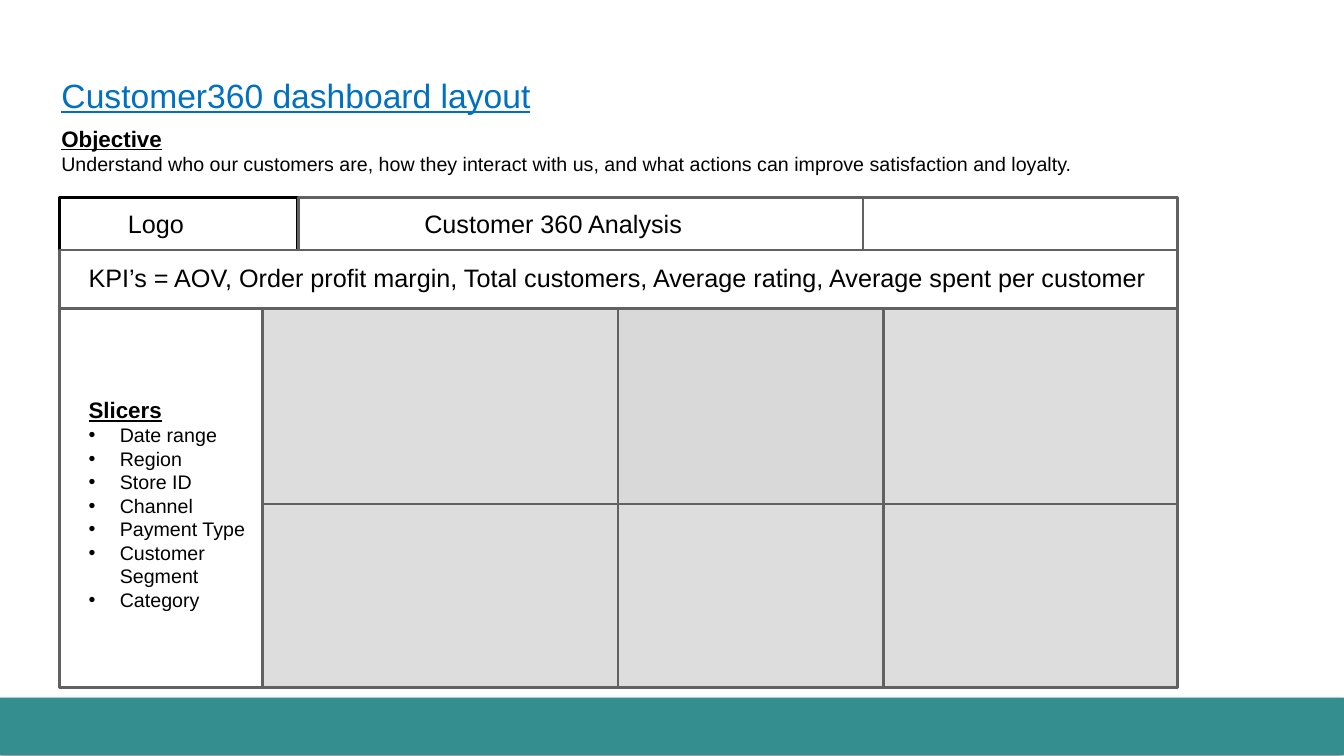
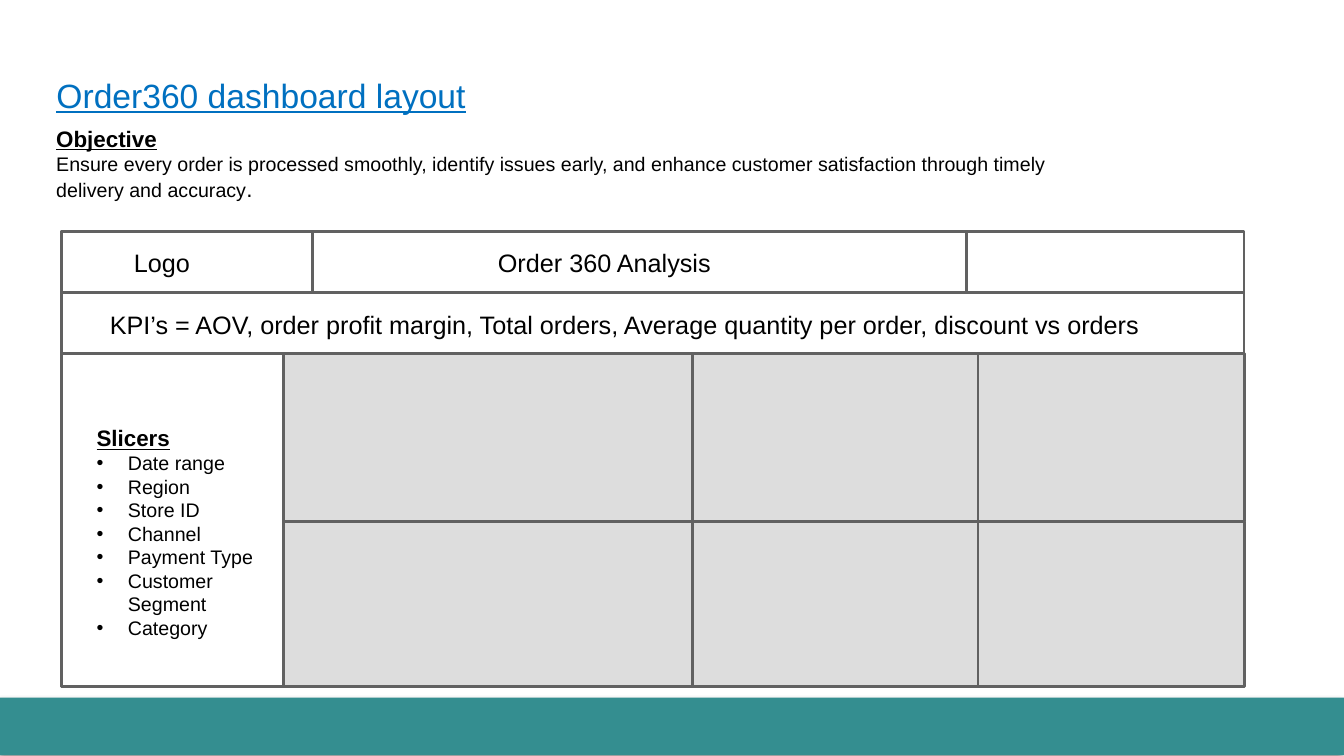
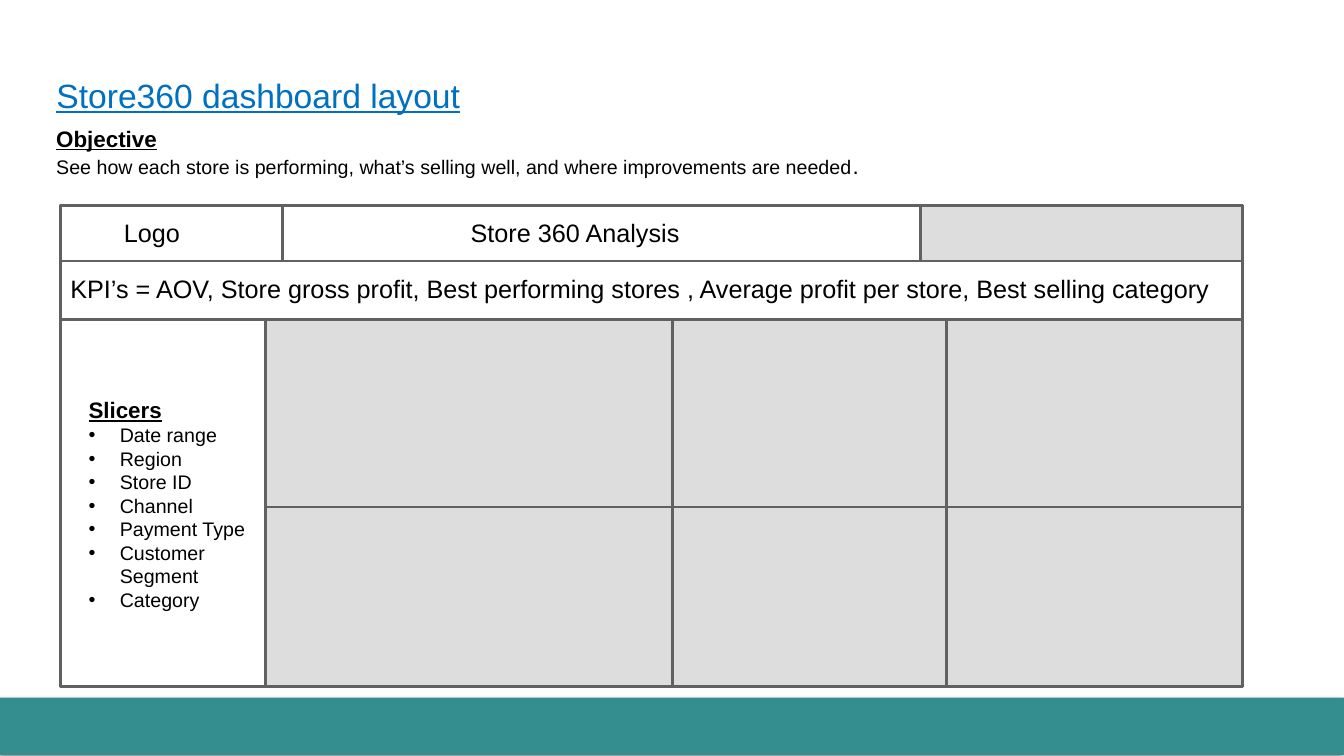
from lxml import etree
from pptx import Presentation
from pptx.dml.color import RGBColor
from pptx.enum.shapes import MSO_SHAPE
from pptx.enum.text import MSO_ANCHOR, MSO_AUTO_SIZE, PP_ALIGN
from pptx.oxml.ns import qn
from pptx.util import Inches, Pt

RECTANGLE = MSO_SHAPE.RECTANGLE
TOP = MSO_ANCHOR.TOP
NO_AUTOFIT = MSO_AUTO_SIZE.NONE
LEFT = PP_ALIGN.LEFT

COLORS = {"title": "0070C0", "text": "000000", "band": "348E90",
          "border": "616161", "panel": "DDDDDD", "center": "D9D9D9"}

STYLES = {
    "title": {"size": Pt(24), "underline": True},
    "heading": {"size": Pt(16), "bold": True, "underline": True},
    "body": {"size": Pt(14)},
    "stop": {"size": Pt(16)},
    "label": {"size": Pt(18)},
}

SLICERS = ["Date range", "Region", "Store ID", "Channel", "Payment Type",
           "Customer Segment", "Category"]

# Edges in inches: rows are header, KPI, upper panels, lower panels, bottom;
# columns are slicers, then three panel columns, right edge.
# Header cells: left, width, fill, border.
DASHBOARDS = [
    {"name": "Customer", "margin": 0.51, "objective_width": 10.27,
     "objective": [("Understand who our customers are, how they interact with us, "
                    "and what actions can improve satisfaction and loyalty.", "body")],
     "rows": [1.96, 2.48, 3.06, 5, 6.82],
     "columns": [0.59, 2.6, 6.13, 8.76, 11.68],
     "header": [(0.59, 2.36, None, "text"), (2.96, 5.6, None, "border"),
                (8.56, 3.12, None, "border")],
     "center_fill": "center",
     "logo": (1.17, 2.02), "heading": (4.11, 2.02, 2.78),
     "kpi_box": (0.78, 2.55, 11.54), "slicer_box": (0.78, 3.88),
     "kpis": "AOV, Order profit margin, Total customers, Average rating, "
             "Average spent per customer"},
    {"name": "Order", "margin": 0.46, "objective_width": 10.46,
     "objective": [("Ensure every order is processed smoothly, identify issues early, "
                    "and enhance customer satisfaction through timely delivery and accuracy",
                    "body"), (".", "stop")],
     "rows": [2.3, 2.9, 3.51, 5.17, 6.81],
     "columns": [0.61, 2.81, 6.87, 9.7, 12.34],
     "header": [(0.61, 2.49, None, "border"), (3.1, 6.49, None, "border")],
     "center_fill": "panel",
     "logo": (1.23, 2.4), "heading": (4.84, 2.4, 2.33),
     "kpi_box": (0.99, 3.02, 10.51), "slicer_box": (0.86, 4.16),
     "kpis": "AOV, order profit margin, Total orders, Average quantity per order, "
             "discount vs orders"},
    {"name": "Store", "margin": 0.46, "objective_width": 10.46,
     "objective": [("See how each store is performing, what’s selling well, "
                    "and where improvements are needed", "body"), (".", "stop")],
     "rows": [2.04, 2.59, 3.17, 5.03, 6.81],
     "columns": [0.6, 2.63, 6.67, 9.39, 12.32],
     "header": [(0.6, 2.2, None, "border"), (2.8, 6.49, None, "border"),
                (9.13, 3.19, "panel", "border")],
     "center_fill": "panel",
     "logo": (1.13, 2.11), "heading": (4.57, 2.11, 2.29),
     "kpi_box": (0.6, 2.66, 11.57), "slicer_box": (0.78, 3.88),
     "kpis": "AOV, Store gross profit, Best performing stores , "
             "Average profit per store, Best selling category"},
]


def add_cell(page, left, top, width, height, fill=None, border="border"):
    cell = page.shapes.add_shape(RECTANGLE, Inches(left), Inches(top),
                                 Inches(width), Inches(height))
    cell.shadow.inherit = False
    if fill:
        cell.fill.solid()
        cell.fill.fore_color.rgb = RGBColor.from_string(COLORS[fill])
    else:
        cell.fill.background()
    if border:
        cell.line.color.rgb = RGBColor.from_string(COLORS[border])
        cell.line.width = Pt(2)
    else:
        cell.line.fill.background()
    return cell


def write(box, at, paragraphs, wrap=True, color="text", bullets_from=None):
    box.left, box.top, box.width, box.height = [Inches(value) for value in at]
    frame = box.text_frame
    frame.word_wrap = wrap
    frame.auto_size = NO_AUTOFIT
    frame.vertical_anchor = TOP
    for index, runs in enumerate(paragraphs):
        para = frame.paragraphs[0] if index == 0 else frame.add_paragraph()
        para.alignment = LEFT
        if bullets_from is not None and index >= bullets_from:
            properties = para._p.get_or_add_pPr()
            properties.set("marL", str(Inches(0.31)))
            properties.set("indent", str(-Inches(0.31)))
            etree.SubElement(properties, qn("a:buFont"), typeface="Arial")
            etree.SubElement(properties, qn("a:buChar"), char="•")
        for text, style in runs:
            span = para.add_run()
            span.text = text
            span.font.name = "Arial"
            span.font.color.rgb = RGBColor.from_string(COLORS[color])
            for attribute, value in STYLES[style].items():
                setattr(span.font, attribute, value)


deck = Presentation()
deck.slide_width, deck.slide_height = Inches(13.33), Inches(7.5)
layout = deck.slide_layouts.get_by_name("Title Only")

for number, board in enumerate(DASHBOARDS):
    page = deck.slides.add_slide(layout)

    # The bottom band belongs to the layout, so it is made only once
    if number == 0:
        band = add_cell(page, 0, 6.92, 13.33, 0.57, "band", None)
        shadow = etree.SubElement(band.element.spPr.find(qn("a:effectLst")),
                                  qn("a:outerShdw"), blurRad=str(Pt(4)),
                                  dist=str(Pt(3)), dir="8100000")
        shade = etree.SubElement(shadow, qn("a:srgbClr"), val=COLORS["text"])
        etree.SubElement(shade, qn("a:alpha"), val="40000")
        band.element.nvSpPr.cNvPr.set("id", "20")
        layout.shapes.element.append(band.element)

    # Title and objective
    margin, width = board["margin"], board["objective_width"]
    write(page.shapes.title, (margin, 0.69, 4.9, 0.5),
          [[(f"{board['name']}360 dashboard layout", "title")]], color="title")
    write(page.shapes.add_textbox(0, 0, 0, 0), (margin, 1.19, width, 0.88),
          [[("Objective", "heading")], board["objective"]])

    # Frame, header, KPI row and slicer column
    rows, columns = board["rows"], board["columns"]
    left, right = columns[0], columns[-1]
    add_cell(page, left, rows[0], right - left, rows[-1] - rows[0])
    for cell_left, cell_width, fill, border in board["header"]:
        add_cell(page, cell_left, rows[0], cell_width, rows[1] - rows[0], fill, border)
    add_cell(page, left, rows[1], right - left, rows[2] - rows[1])
    add_cell(page, left, rows[2], columns[1] - left, rows[-1] - rows[2])

    # Grid of chart panels
    for row in (2, 3):
        for column in (1, 2, 3):
            fill = board["center_fill"] if (row, column) == (2, 2) else "panel"
            add_cell(page, columns[column], rows[row],
                     columns[column + 1] - columns[column], rows[row + 1] - rows[row], fill)

    # Labels
    labels = [(board["logo"] + (0.97,), "Logo", True),
              (board["heading"], f"{board['name']} 360 Analysis", False),
              (board["kpi_box"], f"KPI’s = {board['kpis']}", True)]
    for place, text, wrap in labels:
        write(page.shapes.add_textbox(0, 0, 0, 0), place + (0.4,),
              [[(text, "label")]], wrap)
    write(page.shapes.add_textbox(0, 0, 0, 0), board["slicer_box"] + (1.99, 2.49),
          [[("Slicers", "heading")]] + [[(item, "body")] for item in SLICERS],
          bullets_from=1)

deck.save("out.pptx")
